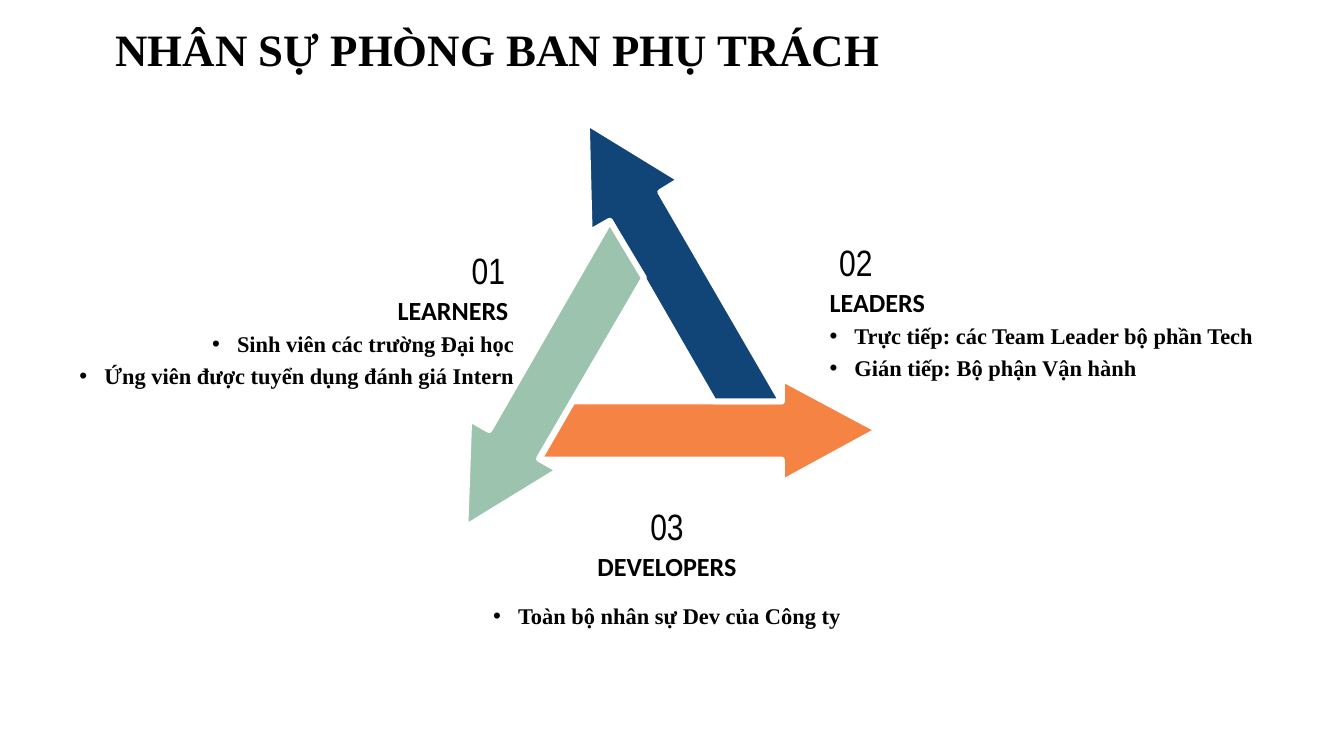
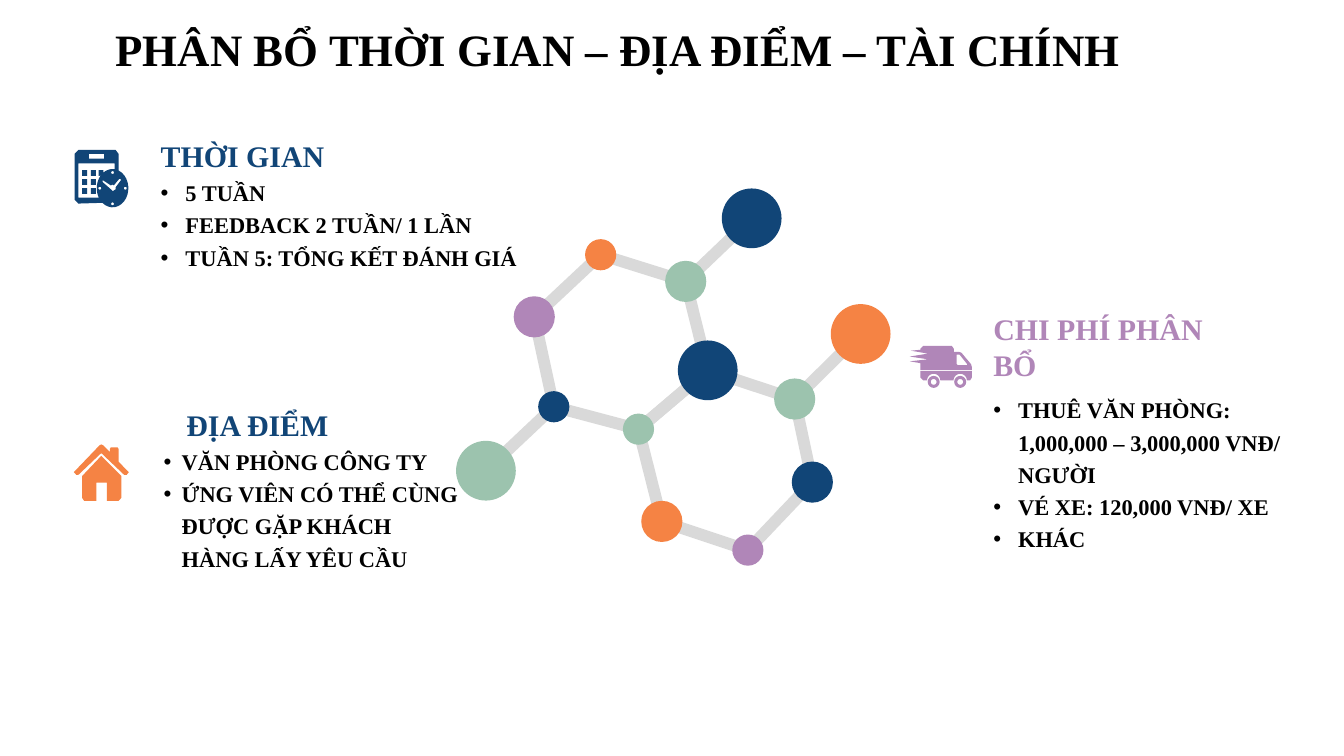
from math import cos, radians, sin

from lxml.etree import SubElement
from pptx import Presentation
from pptx.dml.color import RGBColor
from pptx.enum.shapes import MSO_CONNECTOR, MSO_SHAPE
from pptx.enum.text import MSO_ANCHOR, PP_ALIGN
from pptx.oxml.ns import qn
from pptx.util import Pt

COLORS = {
    "black": "000000", "white": "FFFFFF", "gray": "D9D9D9", "navy": "114577",
    "orange": "F58344", "green": "9CC3AE", "purple": "B086B8",
}
SERIF = "Times New Roman"
LEFT, CENTER, RIGHT = PP_ALIGN.LEFT, PP_ALIGN.CENTER, PP_ALIGN.RIGHT
TOP, MIDDLE, BOTTOM = MSO_ANCHOR.TOP, MSO_ANCHOR.MIDDLE, MSO_ANCHOR.BOTTOM
BODY_SIZE, HEAD_SIZE, LABEL_SIZE, NUMBER_SIZE, TITLE_SIZE = 16.9, 22.5, 19.7, 27.6, 33.8
PAD = 23.8
BOND = 8.88


def arc(cx, cy, rx, ry, start, end, steps=16):
    angles = [radians(start + (end - start) * i / steps) for i in range(steps + 1)]
    return [(cx + rx * cos(a), cy + ry * sin(a)) for a in angles]


def circle(cx, cy, r):
    return arc(cx, cy, r, r, 0, 360)


def rect(x, y, w, h):
    return [(x, y), (x + w, y), (x + w, y + h), (x, y + h)]


class Deck:
    def __init__(self, width, height):
        self.prs = Presentation()
        self.prs.slide_width, self.prs.slide_height = Pt(width), Pt(height)
        self.s = None

    def color(self, name):
        return RGBColor.from_string(COLORS[name])

    def slide(self, title, width):
        self.s = self.prs.slides.add_slide(self.prs.slide_layouts[6])
        self.text((80, 13, width, 48), [title], TITLE_SIZE, inset=(7.2, 3.6))

    def text(self, box, lines, size, font=SERIF, color="black", bold=True, align=LEFT,
             anchor=TOP, inset=(0, 0), wrap=True, hang=0):
        tf = self.s.shapes.add_textbox(*map(Pt, box)).text_frame
        tf.word_wrap, tf.vertical_anchor = wrap, anchor
        tf.margin_left = tf.margin_right = Pt(inset[0])
        tf.margin_top = tf.margin_bottom = Pt(inset[1])
        tf.text = "\n".join(lines)
        for p in tf.paragraphs:
            p.alignment = align
            if hang:
                self.bullet(p, hang)
            for r in p.runs:
                r.font.name, r.font.size, r.font.bold = font, Pt(size), bold
                r.font.color.rgb = self.color(color)

    def bullet(self, p, hang):
        pPr = p._p.get_or_add_pPr()
        pPr.set("marL", str(Pt(hang)))
        pPr.set("indent", str(-Pt(hang)))
        SubElement(pPr, qn("a:buFont")).set("typeface", "Arial")
        SubElement(pPr, qn("a:buChar")).set("char", "•")
        p.line_spacing = 1.2

    def callout(self, x, y, width, number, number_x, number_width, label, lines, align,
                label_width=None):
        self.text((x, y + 36, label_width or width, 24), [label], LABEL_SIZE, "Calibri",
                  align=align, anchor=MIDDLE, wrap=False)
        self.text((x, y + 59.5, width, 47.5), lines, BODY_SIZE, align=align,
                  anchor=MIDDLE, hang=18.7)
        self.text((number_x, y, number_width, 36), [number], NUMBER_SIZE, "Arial Narrow",
                  bold=False, align=align, anchor=MIDDLE, inset=(7.2, 3.6))

    def heading(self, x, bottom, text, color):
        self.text((x, bottom - 27, 221, 27), [text], HEAD_SIZE, color=color, anchor=BOTTOM,
                  inset=(PAD, 0), wrap=False)

    def bullets(self, box, lines, hang=18.7):
        self.text(box, lines, BODY_SIZE, inset=(PAD, 0), hang=hang)

    def outline(self, contours, fill=None, line=None, weight=0):
        paths = [[(Pt(x), Pt(y)) for x, y in c] for c in contours]
        fb = self.s.shapes.build_freeform(*paths[0][0], scale=1.0)
        for i, path in enumerate(paths):
            if i:
                fb.move_to(*path[0])
            fb.add_line_segments(path[1:], close=True)
        self.style(fb.convert_to_shape(), fill, line, weight)

    def dot(self, cx, cy, d, fill):
        sp = self.s.shapes.add_shape(MSO_SHAPE.OVAL, Pt(cx - d / 2), Pt(cy - d / 2), Pt(d), Pt(d))
        self.style(sp, fill)

    def style(self, sp, fill=None, line=None, weight=0):
        sp.shadow.inherit = False
        if fill:
            sp.fill.solid()
            sp.fill.fore_color.rgb = self.color(fill)
        else:
            sp.fill.background()
        if line:
            sp.line.color.rgb, sp.line.width = self.color(line), Pt(weight)
        else:
            sp.line.fill.background()

    def bond(self, start, end):
        c = self.s.shapes.add_connector(MSO_CONNECTOR.STRAIGHT, *map(Pt, (*start, *end)))
        c.line.color.rgb, c.line.width = self.color("gray"), Pt(BOND)
        SubElement(c._element.spPr, qn("a:effectLst"))


def staff_slide(d):
    d.slide("NHÂN SỰ PHÒNG BAN PHỤ TRÁCH", 649)
    arrows = {
        "orange": [(661.7, 324), (589, 285.1), (589, 302.4), (431.3, 302.4), (406.1, 346.3),
                   (589, 346.3), (589, 363.6)],
        "navy": [(589, 302.4), (497.5, 144.7), (512.6, 135.4), (442.1, 92.2), (444.2, 175),
                 (459.4, 166.3), (537.8, 302.4)],
        "green": [(485.3, 209.5), (459.4, 166.3), (368.6, 324), (353.5, 315.4),
                  (350.6, 397.4), (421.2, 354.2), (406.1, 345.6)],
    }
    for fill, points in arrows.items():
        d.outline([points], fill, "white", 4.5)
    d.callout(52, 185.5, 335.5, "01", 183, 204.5, "LEARNERS",
              ["Sinh viên các trường Đại học", "Ứng viên được tuyển dụng đánh giá Intern"],
              RIGHT, 331)
    d.callout(625, 179.5, 351, "02", 625, 214, "LEADERS",
              ["Trực tiếp: các Team Leader bộ phần Tech", "Gián tiếp: Bộ phận Vận hành"], LEFT)
    d.callout(350.5, 378.5, 304, "03", 410, 185, "DEVELOPERS",
              ["Toàn bộ nhân sự Dev của Công ty"], CENTER)


def molecule(d):
    big, medium, small = 45, 31, 23.5
    nodes = {
        "core": (533.2, 279, big, "navy"),
        "left": (402.5, 238.7, medium, "purple"),
        "top": (516.6, 212, medium, "green"),
        "right": (598.7, 300.6, medium, "green"),
        "lower right": (612, 363.2, medium, "navy"),
        "lower left": (498.6, 392.8, medium, "orange"),
        "right tip": (648.4, 251.6, big, "orange"),
        "left tip": (366.1, 354.6, big, "green"),
        "top tip": (566.3, 164.5, big, "navy"),
        "upper left": (452.5, 191.9, small, "orange"),
        "branch": (417.2, 306.4, small, "navy"),
        "joint": (481, 323.3, small, "green"),
        "bottom": (563.4, 414.4, small, "purple"),
    }
    rings = [("joint", "branch", "left", "upper left", "top", "core"),
             ("bottom", "lower left", "joint", "core", "right", "lower right")]
    for ring in rings:
        d.outline([[nodes[n][:2] for n in ring]], line="gray", weight=BOND)
    for n, tip in (("top", "top tip"), ("right", "right tip"), ("branch", "left tip")):
        d.bond(nodes[n][:2], nodes[tip][:2])
    for node in nodes.values():
        d.dot(*node)


def van_icon(d):
    wheels = (703.4, 723.4)
    body = [(695.5, 260.6), (717.1, 260.6), (718.6, 262.8), (718.6, 265), (722.2, 265),
            (724.3, 265.7), (731.5, 274.3), (732.2, 276.5), (732.2, 278.6), (693.4, 278.6),
            (693.4, 273.6), (685.4, 272.2), (699.1, 270.7), (685.4, 268.6), (699.1, 266.4),
            (686.2, 264.2), (693.4, 263.5), (693.4, 262.8)]
    window = [(720.7, 267.1), (722.9, 267.1), (728.6, 274.3), (728.6, 275), (721.4, 275),
              (720.7, 274.3)]
    base = [(693.4, 279.4), (732.2, 279.4), (732.2, 284.4), (730.8, 286.6)]
    for x in reversed(wheels):
        base += arc(x, 286.6, 5, 5, 0, -180)
    base += [(695.5, 286.6), (693.4, 284.4)]
    tires = [circle(x, 287.7, r) for x in wheels for r in (4.5, 2.2)]
    d.outline([body, window, base] + tires, "purple")


def calendar_icon(d):
    cx, cy = 84.8, 141.8
    clock = (cx, cy, 11.9, 14.4)
    frame = [(59, 113), (87.1, 113), (89.3, 115.9), *arc(*clock, -67, 130),
             (59, 153.4), (56.2, 150.5), (56.2, 115.9)]
    page = [(59, 123.1), (59, 149), *arc(*clock, 150, 221), (74.2, 132.5), (74.2, 128.2),
            (77.8, 128.2), *arc(*clock, -125, -83), (86.4, 123.1)]
    hands = [(77.4, 135.7), (83.5, 139.7), (84.9, 139), (85.7, 139.7), (90, 134.6),
             (91.4, 135.4), (87.1, 141.1), (87.1, 142.6), (85, 144), (82.8, 142), (77.3, 137.2)]
    slot = rect(67, 115.9, 11.5, 3.6)
    cells = [rect(61.9 + 6.5 * i, 128.2 + 6.8 * j, 3.8, 4.3) for j in range(3) for i in range(2)]
    marks = [circle(cx + x, cy + y, 1.1) for x, y in ((0, -11.8), (0, 11.8), (-9.6, 0), (9.6, 0))]
    d.outline([frame, page, hands, slot] + cells + marks, "navy")


def house_icon(d):
    roof = [(55.6, 355.7), (75, 335.5), (76.3, 334.8), (77.8, 335.5), (82.8, 340.6),
            (82.8, 338.2), (83.5, 337), (88.6, 337), (89.3, 338.2), (89.3, 347.8), (97, 355.7),
            (95.4, 357.8), (93.6, 357.8), (76.3, 341.3), (59, 357.8), (57.6, 357.8)]
    walls = [(91.4, 358.6), (91.4, 375.1), (89.3, 377.3), (80.6, 377.3), (80.6, 363.6),
             (72.7, 363.6), (72.7, 377.3), (63.4, 377.3), (61.9, 375.1), (61.9, 358.6),
             (76.3, 343.4)]
    d.outline([roof, walls], "orange")


def plan_slide(d):
    d.slide("PHÂN BỔ THỜI GIAN – ĐỊA ĐIỂM – TÀI CHÍNH", 833)
    molecule(d)
    van_icon(d)
    d.heading(724.5, 288, "CHI PHÍ PHÂN BỔ", "purple")
    d.bullets((724.5, 294.5, 268.5, 173.5),
              ["THUÊ VĂN PHÒNG: 1,000,000 – 3,000,000 VNĐ/ NGƯỜI", "VÉ XE: 120,000 VNĐ/ XE",
               "KHÁC"])
    calendar_icon(d)
    house_icon(d)
    d.heading(97.2, 131, "THỜI GIAN", "navy")
    d.bullets((97.2, 131, 328.3, 158.4),
              ["5 TUẦN", "FEEDBACK 2 TUẦN/ 1 LẦN", "TUẦN 5: TỔNG KẾT ĐÁNH GIÁ"])
    d.heading(116.6, 333.4, "ĐỊA ĐIỂM", "navy")
    d.bullets((99.4, 333.4, 273.6, 143.3),
              ["VĂN PHÒNG CÔNG TY", "ỨNG VIÊN CÓ THỂ CÙNG ĐƯỢC GẶP KHÁCH HÀNG LẤY YÊU CẦU"],
              13.7)


def main():
    d = Deck(1012.5, 569.5)
    staff_slide(d)
    plan_slide(d)
    d.prs.save("out.pptx")


if __name__ == "__main__":
    main()
